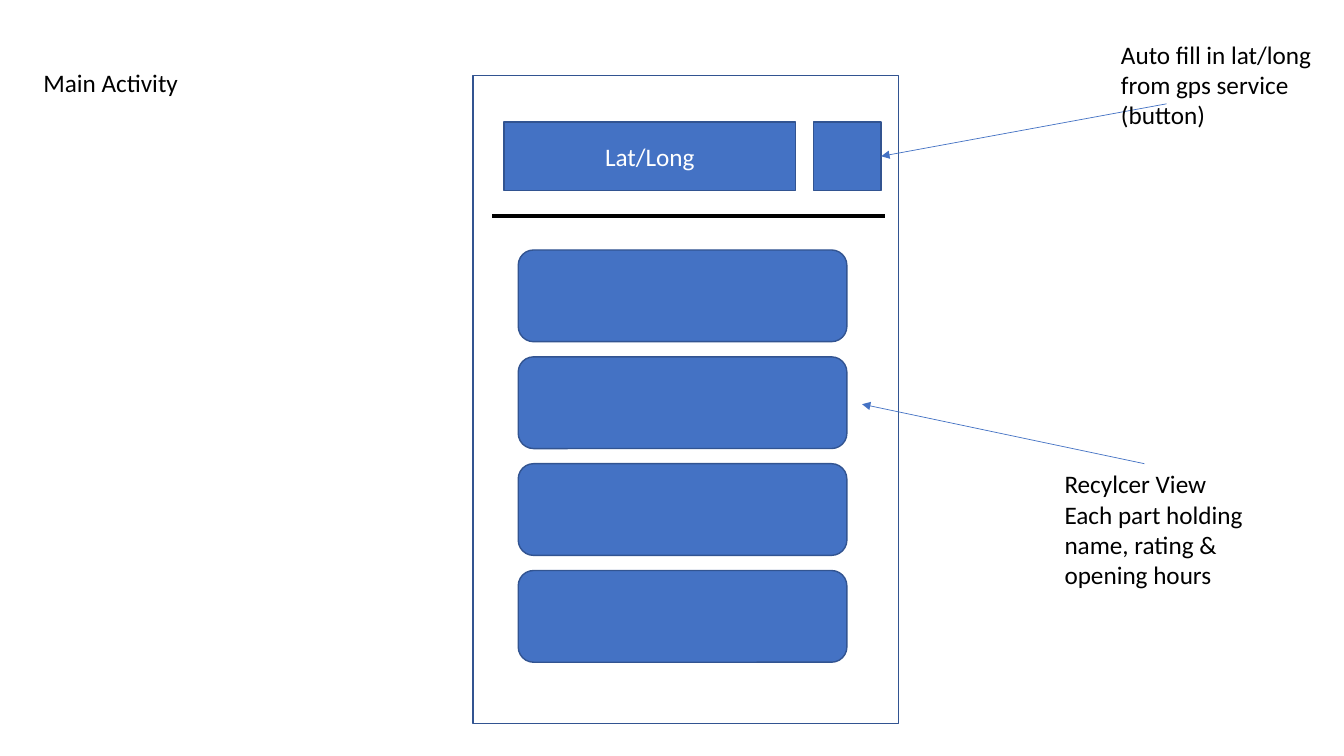
from lxml import etree
from pptx import Presentation
from pptx.dml.color import RGBColor
from pptx.enum import shapes, text
from pptx.oxml import ns
from pptx.util import Inches, Pt

FONT = "Calibri"
BLUE, OUTLINE, WHITE, BLACK = "4472C4", "325491", "FFFFFF", "000000"
RECT = shapes.MSO_SHAPE.RECTANGLE
ROUNDED = shapes.MSO_SHAPE.ROUNDED_RECTANGLE


def rgb(value):
    return RGBColor.from_string(value)


def add_run(p, words, color):
    r = p.add_run()
    r.text = words
    r.font.name = FONT
    r.font.size = Pt(18)
    r.font.color.rgb = rgb(color)


def write(sp, paragraphs, color, align, anchor):
    tf = sp.text_frame
    tf.word_wrap = True
    tf.vertical_anchor = anchor
    for i, words in enumerate(paragraphs):
        p = tf.add_paragraph() if i else tf.paragraphs[0]
        p.alignment = align
        add_run(p, words, color)


def add_box(s, kind, x, y, w, h, fill=BLUE, label=None):
    sp = s.shapes.add_shape(kind, Inches(x), Inches(y), Inches(w), Inches(h))
    sp.shadow.inherit = False
    sp.fill.solid()
    sp.fill.fore_color.rgb = rgb(fill)
    sp.line.color.rgb = rgb(OUTLINE)
    sp.line.width = Pt(1)
    if label:
        write(sp, [label], WHITE, text.PP_ALIGN.CENTER, text.MSO_ANCHOR.MIDDLE)


def add_line(s, start, end, color, width, arrow=False):
    points = [Inches(v) for v in (*start, *end)]
    line = s.shapes.add_connector(shapes.MSO_CONNECTOR.STRAIGHT, *points)
    line.line.color.rgb = rgb(color)
    line.line.width = Pt(width)
    if arrow:
        ln = line.line._get_or_add_ln()
        etree.SubElement(ln, ns.qn("a:tailEnd"), type="triangle")
    etree.SubElement(line._element.spPr, ns.qn("a:effectLst"))


def add_note(s, x, y, w, h, paragraphs):
    sp = s.shapes.add_textbox(Inches(x), Inches(y), Inches(w), Inches(h))
    write(sp, paragraphs, BLACK, text.PP_ALIGN.LEFT, text.MSO_ANCHOR.TOP)
    sp.text_frame.auto_size = text.MSO_AUTO_SIZE.SHAPE_TO_FIT_TEXT


def set_title(s, x, y, w, h, words):
    sp = s.shapes.title
    sp.left, sp.top, sp.width, sp.height = [Inches(v) for v in (x, y, w, h)]
    write(sp, [words], BLACK, text.PP_ALIGN.LEFT, text.MSO_ANCHOR.TOP)
    sp.text_frame.auto_size = text.MSO_AUTO_SIZE.NONE


def main():
    prs = Presentation()
    prs.slide_width, prs.slide_height = Inches(13.33), Inches(7.5)
    s = prs.slides.add_slide(prs.slide_layouts[5])
    set_title(s, 0.33, 0.62, 3.22, 0.4, "Main Activity")

    add_box(s, RECT, 4.69, 0.75, 4.22, 6.43, fill=WHITE)
    add_box(s, RECT, 5, 1.21, 2.89, 0.68, label="Lat/Long")
    add_box(s, RECT, 8.07, 1.21, 0.67, 0.68)
    add_line(s, (4.88, 2.14), (8.78, 2.14), BLACK, 3)
    for row in range(4):
        add_box(s, ROUNDED, 5.14, 2.48 + 1.06 * row, 3.26, 0.91)

    add_line(s, (11.57, 1.03), (8.74, 1.55), BLUE, 0.5, arrow=True)
    add_note(s, 11.02, 0.34, 2.2, 1.01,
             ["Auto fill in lat/long from gps service (button)"])
    add_line(s, (11.35, 4.6), (8.55, 4.01), BLUE, 0.5, arrow=True)
    add_note(s, 10.46, 4.6, 2.2, 1.31,
             ["Recylcer View",
              "Each part holding name, rating & opening hours"])
    prs.save("out.pptx")


main()
